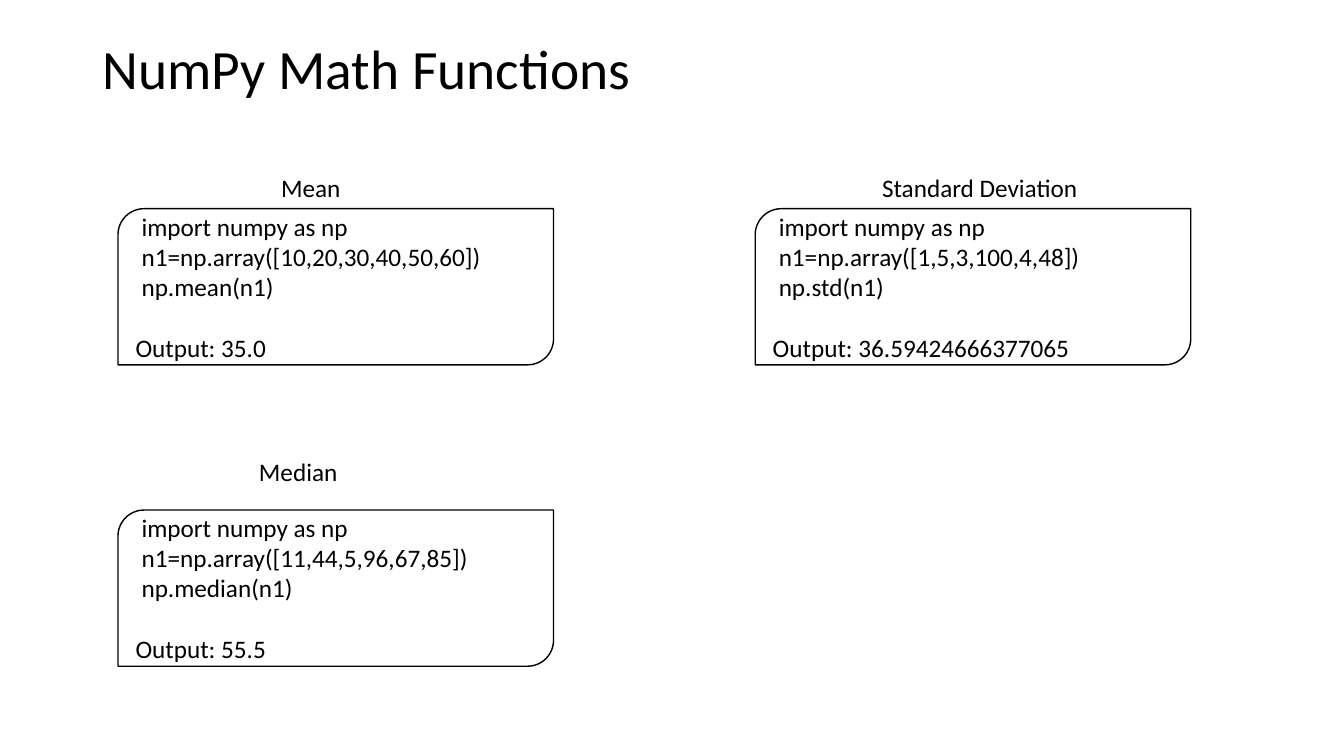
from dataclasses import dataclass
from pptx import Presentation
from pptx.dml.color import RGBColor as Rgb
from pptx.enum.shapes import MSO_SHAPE as Shape
from pptx.enum.text import MSO_ANCHOR as Anchor, MSO_AUTO_SIZE as Fit, PP_ALIGN as Align
from pptx.util import Inches, Pt


@dataclass(frozen=True)
class Theme:
    """Hold the colours, font and type sizes of the slide."""
    ink: Rgb = Rgb(0, 0, 0)
    paper: Rgb = Rgb(255, 255, 255)
    font: str = "Calibri"
    head: float = 39.6
    body: float = 18
    skip: float = 22


look = Theme()
LEFT, RIGHT = 1.17, 7.49
TOP, LOW = 2.07, 5.06
WIDE, HIGH = 4.32, 1.55
CARDS = [
    ("Mean", (1.52, -0.41, 0.8), (LEFT, TOP),
     "10,20,30,40,50,60", "mean", "35.0"),
    ("Standard Deviation", (1.16, -0.41, 2.16), (RIGHT, TOP),
     "1,5,3,100,4,48", "std", "36.59424666377065"),
    ("Median", (1.3, -0.58, 0.99), (LEFT, LOW),
     "11,44,5,96,67,85", "median", "55.5"),
]


def write(para, text, size):
    """Add one run in the theme font and ink."""
    run = para.add_run()
    run.text = text
    run.font.name = look.font
    run.font.size = Pt(size)
    run.font.color.rgb = look.ink


def add_title(slide, text, box):
    """Place and format the title placeholder."""
    title = slide.shapes.title
    title.left, title.top, title.width, title.height = map(Inches, box)
    frame = title.text_frame
    frame.auto_size = Fit.NONE
    frame.vertical_anchor = Anchor.MIDDLE
    para = frame.paragraphs[0]
    para.alignment = Align.LEFT
    para.line_spacing = 0.9
    write(para, text, look.head)


def add_label(slide, text, left, top, width):
    """Add the caption of a code card."""
    label = slide.shapes.add_textbox(*map(Inches, (left, top, width, 0.4)))
    frame = label.text_frame
    frame.word_wrap = False
    frame.auto_size = Fit.SHAPE_TO_FIT_TEXT
    write(frame.paragraphs[0], text, look.body)


def add_code(slide, lines, result, box):
    """Add a card with indented code lines and their output."""
    card = slide.shapes.add_shape(Shape.ROUND_2_DIAG_RECTANGLE, *map(Inches, box))
    card.shadow.inherit = False
    card.fill.solid()
    card.fill.fore_color.rgb = look.paper
    card.line.color.rgb = look.ink
    card.line.width = Pt(1)
    frame = card.text_frame
    frame.word_wrap = True
    frame.vertical_anchor = Anchor.MIDDLE
    for row, line in enumerate([*lines, result]):
        para = frame.paragraphs[0] if row == 0 else frame.add_paragraph()
        para.alignment = Align.LEFT
        if row < len(lines):
            para._p.get_or_add_pPr().set("marL", str(Inches(0.06)))
        else:
            para.space_before = Pt(look.skip)
        write(para, line, look.body)


def add_card(slide, name, shift, spot, values, func, result):
    """Add a caption and its code card at the given spot."""
    left, top = spot
    right, down, width = shift
    lines = ["import numpy as np", f"n1=np.array([{values}])", f"np.{func}(n1)"]
    add_code(slide, lines, f"Output: {result}", (left, top, WIDE, HIGH))
    add_label(slide, name, left + right, top + down, width)


def build():
    """Build the slide and return the deck."""
    deck = Presentation()
    deck.slide_width, deck.slide_height = Inches(13.33), Inches(7.5)
    slide = deck.slides.add_slide(deck.slide_layouts[5])
    add_title(slide, "NumPy Math Functions", (0.92, 0.4, 5.6, 0.61))
    for card in CARDS:
        add_card(slide, *card)
    return deck


build().save("out.pptx")
